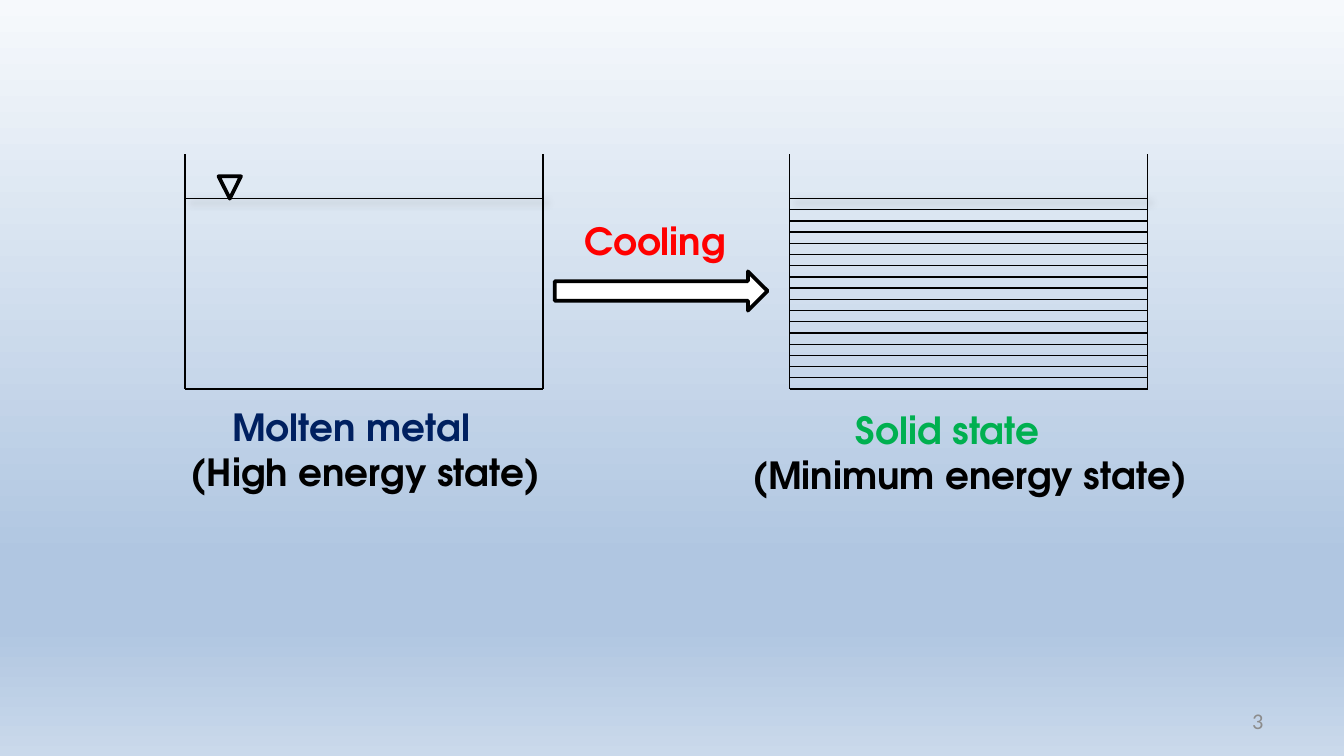
from lxml import etree
from pptx import Presentation
from pptx.dml.color import RGBColor
from pptx.enum.shapes import MSO_CONNECTOR, MSO_SHAPE
from pptx.enum.text import MSO_ANCHOR, PP_ALIGN
from pptx.oxml.ns import qn
from pptx.util import Pt

STRAIGHT = MSO_CONNECTOR.STRAIGHT
ARROW, TRIANGLE = MSO_SHAPE.RIGHT_ARROW, MSO_SHAPE.ISOSCELES_TRIANGLE
LEFT, RIGHT = PP_ALIGN.LEFT, PP_ALIGN.RIGHT
TOP, MIDDLE = MSO_ANCHOR.TOP, MSO_ANCHOR.MIDDLE

BLACK, WHITE, GREY = "000000", "FFFFFF", "8C8C8C"
RED, NAVY, GREEN = "FF0000", "002060", "00B050"
SKY = [(0, "F6F9FC"), (74, "B0C6E1"), (83, "B0C6E1"), (100, "CAD9EB")]


def rgb(code):
    """Turn a hex string into a colour."""
    return RGBColor.from_string(code)


def node(parent, tag, **attrs):
    """Add a DrawingML element with the given attributes."""
    item = etree.SubElement(parent, qn("a:" + tag))
    for key, value in attrs.items():
        item.set(key, str(value))
    return item


class Board:
    """Holds the style and the slide being drawn."""

    font, size, thin, thick = "TeX Gyre Adventor", 20, 0.75, 2

    def __init__(self, slide):
        self.slide = slide

    def backdrop(self, stops):
        """Fill the background with a gradient running downwards."""
        fill = self.slide.background.fill
        fill.gradient()
        fill.gradient_angle = 270
        track = self.slide.element.find(".//" + qn("a:gsLst"))
        for old in list(track):
            track.remove(old)
        for place, code in stops:
            stop = node(track, "gs", pos=place * 1000)
            node(stop, "srgbClr", val=code)

    def line(self, x1, y1, x2, y2, shade=False):
        """Draw a thin black line, with a soft shadow on request."""
        line = self.slide.shapes.add_connector(
            STRAIGHT, Pt(x1), Pt(y1), Pt(x2), Pt(y2))
        line.line.color.rgb = rgb(BLACK)
        line.line.width = Pt(self.thin)
        effect = node(line.element.spPr, "effectLst")
        if shade:
            cast = node(effect, "outerShdw", blurRad=Pt(4), dist=Pt(3),
                        dir=45 * 60000, algn="tl", rotWithShape=0)
            node(node(cast, "srgbClr", val=BLACK), "alpha", val=40000)

    def shape(self, kind, x, y, w, h, fill=None, turn=0):
        """Draw a preset shape with a thick black outline."""
        shape = self.slide.shapes.add_shape(kind, Pt(x), Pt(y), Pt(w), Pt(h))
        shape.shadow.inherit = False
        shape.rotation = turn
        shape.line.color.rgb = rgb(BLACK)
        shape.line.width = Pt(self.thick)
        if fill:
            shape.fill.solid()
            shape.fill.fore_color.rgb = rgb(fill)
        else:
            shape.fill.background()

    def text(self, x, y, w, h, rows, font=None, size=None, bold=True,
             align=LEFT, anchor=TOP, wrap=True):
        """Write rows of (words, colour, indent), one paragraph each."""
        frame = self.slide.shapes.add_textbox(
            Pt(x), Pt(y), Pt(w), Pt(h)).text_frame
        frame.word_wrap = wrap
        frame.vertical_anchor = anchor
        for i, (words, code, indent) in enumerate(rows):
            para = frame.add_paragraph() if i else frame.paragraphs[0]
            para.alignment = align
            if indent:
                para._p.get_or_add_pPr().set("marL", str(Pt(indent)))
            run = para.add_run()
            run.text = words
            run.font.name = font or self.font
            run.font.size = Pt(size or self.size)
            run.font.bold = bold
            run.font.color.rgb = rgb(code)

    def tank(self, x, layers=0):
        """Draw an open tank, its surface and any layers below it."""
        top, level, base, gap = 82.6, 106.4, 208.4, 6
        end = x + 191.8
        self.line(x, top, x, base)
        self.line(x, base, end, base)
        self.line(end, base, end, top)
        self.line(x, level, end, level, shade=True)
        for i in range(1, layers + 1):
            self.line(x, level + i * gap, end, level + i * gap)


deck = Presentation()
deck.slide_width, deck.slide_height = Pt(720), Pt(405)
board = Board(deck.slides.add_slide(deck.slide_layouts[6]))

board.backdrop(SKY)
board.text(516, 375.4, 168, 21.6, [("3", GREY, 0)], font="Calibri", size=12,
           bold=False, align=RIGHT, anchor=MIDDLE)

board.tank(99.2)
board.shape(TRIANGLE, 117.1, 94.4, 12, 12, turn=180)
board.shape(ARROW, 297.2, 145.4, 114, 21, fill=WHITE)
board.text(305.8, 113.2, 91.4, 31.5, [("Cooling", RED, 0)], wrap=False)
board.tank(423.1, layers=16)

board.text(84.2, 213.2, 216, 55.7,
           [("Molten metal", NAVY, 33.2), ("(High energy state)", BLACK, 11)])
board.text(396, 214.6, 252, 55.7,
           [("Solid state", GREEN, 55.4), ("(Minimum energy state)", BLACK, 0)])

deck.save("out.pptx")
